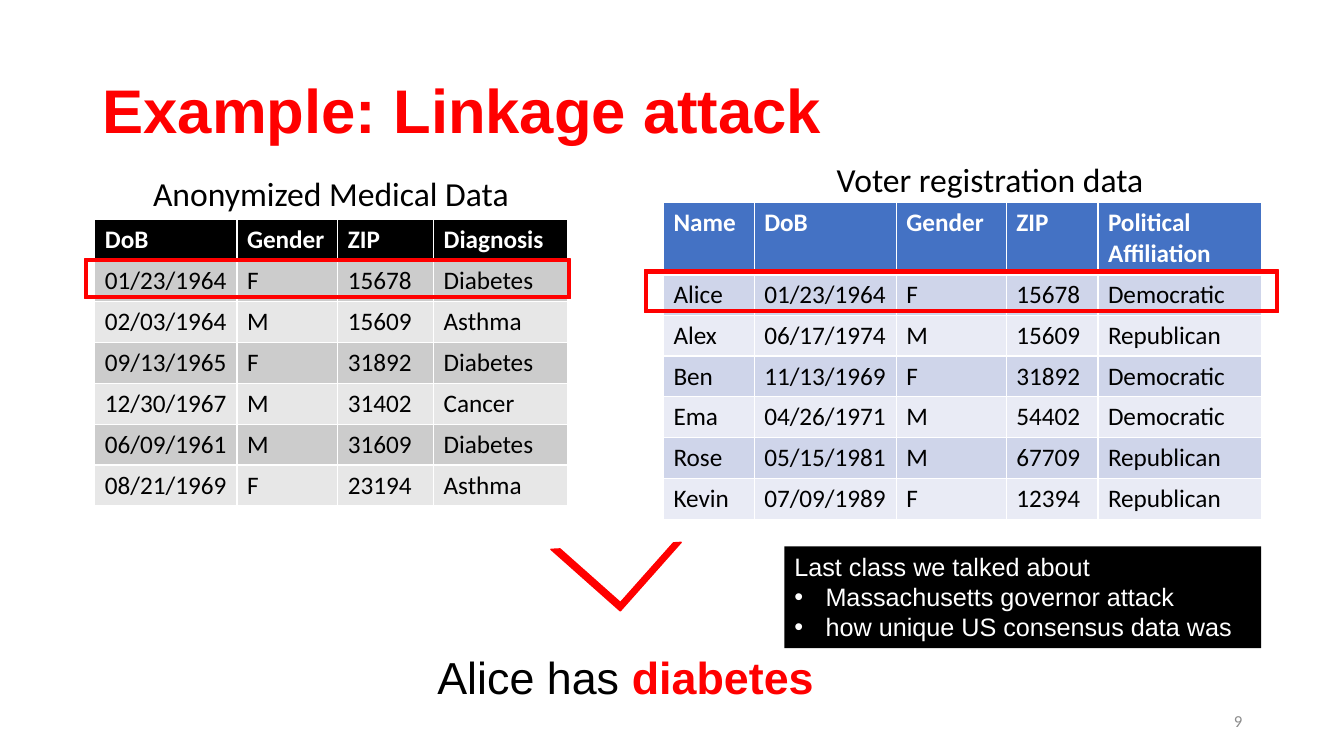
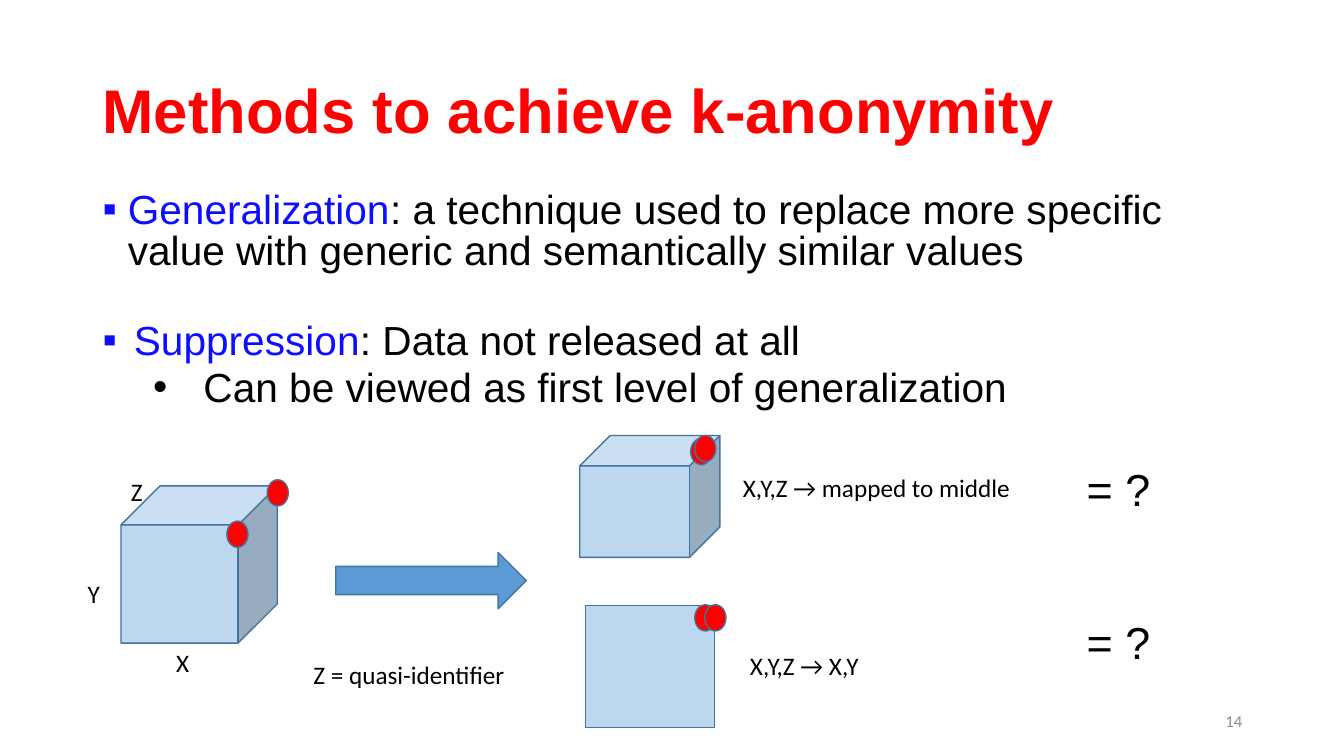
"""Builds two slides on linkage attacks and k-anonymity."""

from dataclasses import dataclass
from typing import Optional

from lxml.etree import SubElement
from pptx import Presentation
from pptx.dml.color import RGBColor
from pptx.enum.shapes import MSO_SHAPE
from pptx.enum.text import MSO_ANCHOR, MSO_AUTO_SIZE, PP_ALIGN
from pptx.oxml.ns import qn
from pptx.slide import Slide
from pptx.table import _Cell
from pptx.text.text import TextFrame, _Paragraph
from pptx.util import Inches, Pt

UNIT = Inches(0.1)
COLUMNS, ROWS = 133.3, 75

BLACK = RGBColor(0x00, 0x00, 0x00)
WHITE = RGBColor(0xFF, 0xFF, 0xFF)
RED = RGBColor(0xFF, 0x00, 0x00)
TERM_BLUE = RGBColor(0x0D, 0x0E, 0xFF)
NUMBER_GRAY = RGBColor(0x8C, 0x8C, 0x8C)
DARK_GRAY = RGBColor(0xCC, 0xCC, 0xCC)
LIGHT_GRAY = RGBColor(0xE7, 0xE7, 0xE7)
HEADER_BLUE = RGBColor(0x44, 0x72, 0xC4)
DARK_BAND = RGBColor(0xCF, 0xD5, 0xEA)
LIGHT_BAND = RGBColor(0xE9, 0xEB, 0xF5)
CUBE_BLUE = RGBColor(0xBD, 0xD7, 0xEE)
ARROW_BLUE = RGBColor(0x5B, 0x9B, 0xD5)
OUTLINE_BLUE = RGBColor(0x43, 0x73, 0x9E)

HEADING_FONT, LABEL_FONT = "Arial", "Calibri"


@dataclass(frozen=True)
class Area:
    """A rectangle in grid columns and rows."""

    left: float
    top: float
    width: float
    height: float

    def lengths(self) -> tuple[int, ...]:
        """Return the rectangle in slide lengths."""
        return tuple(grid(cells) for cells in (self.left, self.top, self.width, self.height))


@dataclass(frozen=True)
class Style:
    """The look of a piece of text."""

    size: float
    font: str = LABEL_FONT
    color: RGBColor = BLACK
    bold: bool = False


@dataclass(frozen=True)
class Line:
    """A paragraph made of styled pieces, with an optional bullet."""

    pieces: tuple[tuple[str, Style], ...]
    bullet: str = ""
    indent: float = 0
    hanging: float = 0
    spacing: float = 1
    before: float = 0
    align: PP_ALIGN = PP_ALIGN.LEFT


@dataclass(frozen=True)
class Figure:
    """A filled preset shape."""

    kind: MSO_SHAPE
    area: Area
    fill: RGBColor
    outline: Optional[RGBColor] = None
    adjustments: tuple[float, ...] = ()
    rotation: float = 0


@dataclass(frozen=True)
class DataTable:
    """A banded table whose first row is the header."""

    left: float
    top: float
    widths: tuple[float, ...]
    rows: tuple[str, ...]
    header_fill: RGBColor
    bands: tuple[RGBColor, RGBColor]


TITLE = Style(44, HEADING_FONT, RED, True)
NUMBER = Style(12, color=NUMBER_GRAY)
CAPTION = Style(24)
LABEL = Style(18)
TABLE_HEADER = Style(18, color=WHITE, bold=True)
NOTE = Style(18, HEADING_FONT, WHITE)
RESULT = Style(32, HEADING_FONT)
RESULT_STRONG = Style(32, HEADING_FONT, RED, True)
BODY = Style(29, HEADING_FONT)
TERM = Style(29, HEADING_FONT, TERM_BLUE)

MEDICAL = DataTable(
    9.4, 21.8, (14.1, 10, 9.5, 13.3),
    (
        "DoB|Gender|ZIP|Diagnosis",
        "01/23/1964|F|15678|Diabetes",
        "02/03/1964|M|15609|Asthma",
        "09/13/1965|F|31892|Diabetes",
        "12/30/1967|M|31402|Cancer",
        "06/09/1961|M|31609|Diabetes",
        "08/21/1969|F|23194|Asthma",
    ),
    BLACK, (DARK_GRAY, LIGHT_GRAY),
)
VOTERS = DataTable(
    65.8, 20.1, (9, 14.1, 10.9, 9.1, 16.2),
    (
        "Name|DoB|Gender|ZIP|Political\nAffiliation",
        "Alice|01/23/1964|F|15678|Democratic",
        "Alex|06/17/1974|M|15609|Republican",
        "Ben|11/13/1969|F|31892|Democratic",
        "Ema|04/26/1971|M|54402|Democratic",
        "Rose|05/15/1981|M|67709|Republican",
        "Kevin|07/09/1989|F|12394|Republican",
    ),
    HEADER_BLUE, (DARK_BAND, LIGHT_BAND),
)
ATTACK_MARKS = (
    Figure(MSO_SHAPE.FRAME, Area(8.4, 25.7, 48.2, 3.9), RED, RED, (0.07,)),
    Figure(MSO_SHAPE.FRAME, Area(63.9, 26.8, 62.9, 4.2), RED, RED, (0.07,)),
    Figure(MSO_SHAPE.HALF_FRAME, Area(56.5, 49.6, 9.2, 9.1), RED, RED, (0.07, 0.06), 221.6),
)
NOTE_BOX = Figure(MSO_SHAPE.RECTANGLE, Area(77.8, 54.2, 47.3, 10.1), BLACK)
NOTE_LINES = (
    Line((("Last class we talked about", NOTE),)),
    *(
        Line(((text, NOTE),), "•", 3.1, 3.1)
        for text in ("Massachusetts governor attack", "how unique US consensus data was")
    ),
)
METHOD_LINES = (
    Line(
        (
            ("Generalization", TERM),
            (": a technique used to replace more specific value with generic "
             "and semantically similar values", BODY),
        ),
        "▪", 2.5, 2.5, 0.84,
    ),
    Line((("Suppression", TERM), (": Data not released at all", BODY)), "▪", 3.1, 3.1, 0.84, 35.5),
    Line((("Can be viewed as first level of generalization", BODY),), "•", 10, 5, 0.84, 4),
)
METHOD_FIGURES = (
    Figure(MSO_SHAPE.CUBE, Area(12, 48.2, 15.5, 15.6), CUBE_BLUE, OUTLINE_BLUE),
    Figure(MSO_SHAPE.RIGHT_ARROW, Area(33.3, 54.8, 18.9, 5.6), ARROW_BLUE, OUTLINE_BLUE),
    Figure(MSO_SHAPE.RECTANGLE, Area(58.1, 60.1, 12.8, 12.1), CUBE_BLUE, OUTLINE_BLUE),
    Figure(MSO_SHAPE.CUBE, Area(57.5, 43.2, 13.9, 12.1), CUBE_BLUE, OUTLINE_BLUE),
)
DOTS = ((22.5, 51.7), (26.5, 47.6), (68.9, 60), (69.9, 60), (68.5, 43.5), (68.9, 43.2))
METHOD_LABELS = (
    ("Z", Area(12, 46.8, 3.2, 4), LABEL),
    ("X", Area(16.5, 63.7, 3.3, 4), LABEL),
    ("Y", Area(7.7, 56.9, 3.2, 4), LABEL),
    ("X,Y,Z → X,Y", Area(73.4, 64, 14, 4), LABEL),
    ("X,Y,Z → mapped to middle", Area(72.7, 46.4, 29.6, 4), LABEL),
    ("= ?", Area(106.8, 45.3, 8.4, 6.4), RESULT),
    ("= ?", Area(106.8, 60.5, 8.4, 6.4), RESULT),
    ("Z = quasi-identifier", Area(30.1, 64.9, 21.2, 4), LABEL),
)


def grid(cells: float) -> int:
    """Turn a count of grid cells into a slide length."""
    return round(cells * UNIT)


def style_paragraph(paragraph: _Paragraph, style: Style) -> None:
    """Apply one style to every run of a paragraph."""
    for run in paragraph.runs:
        style_font(run.font, style)


def style_font(font, style: Style) -> None:
    """Apply a style to a font."""
    font.size, font.name, font.bold = Pt(style.size), style.font, style.bold
    font.color.rgb = style.color


def write_lines(text_frame: TextFrame, lines: tuple[Line, ...]) -> None:
    """Write styled paragraphs into a text frame."""
    text_frame.text = "\n".join("" for _ in lines)
    for paragraph, line in zip(text_frame.paragraphs, lines):
        paragraph.alignment = line.align
        paragraph.line_spacing = line.spacing
        paragraph.space_before = Pt(line.before)
        for text, style in line.pieces:
            run = paragraph.add_run()
            run.text = text
            style_font(run.font, style)
        if line.bullet:
            properties = paragraph._p.get_or_add_pPr()
            properties.set("marL", str(grid(line.indent)))
            properties.set("indent", str(grid(-line.hanging)))
            SubElement(properties, qn("a:buFont"), typeface=HEADING_FONT)
            SubElement(properties, qn("a:buChar"), char=line.bullet)


def add_text(slide: Slide, area: Area, *lines: Line, wrap: bool = False,
             anchor: MSO_ANCHOR = MSO_ANCHOR.TOP) -> None:
    """Add a text box; boxes that do not wrap fit their text."""
    text_frame = slide.shapes.add_textbox(*area.lengths()).text_frame
    text_frame.word_wrap = wrap
    text_frame.auto_size = MSO_AUTO_SIZE.NONE if wrap else MSO_AUTO_SIZE.SHAPE_TO_FIT_TEXT
    text_frame.vertical_anchor = anchor
    write_lines(text_frame, lines)


def add_figure(slide: Slide, figure: Figure, lines: tuple[Line, ...] = ()) -> None:
    """Add a preset shape with optional text."""
    shape = slide.shapes.add_shape(figure.kind, *figure.area.lengths())
    shape.shadow.inherit = False
    shape.rotation = figure.rotation
    for index, value in enumerate(figure.adjustments):
        shape.adjustments[index] = value
    shape.fill.solid()
    shape.fill.fore_color.rgb = figure.fill
    if figure.outline is None:
        shape.line.fill.background()
    else:
        shape.line.color.rgb = figure.outline
        shape.line.width = Pt(1)
    if lines:
        shape.text_frame.vertical_anchor = MSO_ANCHOR.TOP
        write_lines(shape.text_frame, lines)


def add_borders(cell: _Cell, bottom: float, top: float) -> None:
    """Give a cell white borders."""
    properties = cell._tc.get_or_add_tcPr()
    for side, width in (("L", 1), ("R", 1), ("T", top), ("B", bottom)):
        border = SubElement(properties, qn(f"a:ln{side}"), w=str(Pt(width)))
        SubElement(SubElement(border, qn("a:solidFill")), qn("a:srgbClr"), val=str(WHITE))


def add_data_table(slide: Slide, data: DataTable) -> None:
    """Add a table with a header and alternating row fills."""
    area = Area(data.left, data.top, sum(data.widths), 3.7 * len(data.rows))
    table = slide.shapes.add_table(len(data.rows), len(data.widths), *area.lengths()).table
    for column, width in zip(table.columns, data.widths):
        column.width = grid(width)
    for row_index, (row, texts) in enumerate(zip(table.rows, data.rows)):
        header = row_index == 0
        for cell, text in zip(row.cells, texts.split("|")):
            add_borders(cell, 3 if header else 1, 3 if row_index == 1 else 1)
            cell.fill.solid()
            cell.fill.fore_color.rgb = data.header_fill if header else data.bands[(row_index - 1) % 2]
            cell.text_frame.text = text
            for paragraph in cell.text_frame.paragraphs:
                style_paragraph(paragraph, TABLE_HEADER if header else LABEL)


def add_titled_slide(presentation: Presentation, title: str, number: int) -> Slide:
    """Add a blank slide with the shared title and page number."""
    slide = presentation.slides.add_slide(presentation.slide_layouts[6])
    add_text(slide, Area(9.2, 4, 115, 14.5), Line(((title, TITLE),), spacing=0.9),
             wrap=True, anchor=MSO_ANCHOR.MIDDLE)
    add_text(slide, Area(94.2, 69.5, 30, 4), Line(((str(number), NUMBER),), align=PP_ALIGN.RIGHT),
             wrap=True, anchor=MSO_ANCHOR.MIDDLE)
    return slide


def build_attack(presentation: Presentation) -> None:
    """Build the linkage attack slide."""
    slide = add_titled_slide(presentation, "Example: Linkage attack", 9)
    add_data_table(slide, MEDICAL)
    add_data_table(slide, VOTERS)
    add_text(slide, Area(14.2, 16.7, 37.3, 5), Line((("Anonymized Medical Data", CAPTION),)))
    add_text(slide, Area(82, 15.3, 32.8, 5), Line((("Voter registration data", CAPTION),)))
    for mark in ATTACK_MARKS:
        add_figure(slide, mark)
    add_text(slide, Area(42.4, 64, 39.6, 6.4),
             Line((("Alice has ", RESULT), ("diabetes", RESULT_STRONG))))
    add_figure(slide, NOTE_BOX, NOTE_LINES)


def build_methods(presentation: Presentation) -> None:
    """Build the k-anonymity methods slide."""
    slide = add_titled_slide(presentation, "Methods to achieve k-anonymity", 14)
    add_text(slide, Area(9.2, 18.5, 115, 22.9), *METHOD_LINES, wrap=True)
    for figure in METHOD_FIGURES:
        add_figure(slide, figure)
    for left, top in DOTS:
        add_figure(slide, Figure(MSO_SHAPE.OVAL, Area(left, top, 2.1, 2.6), RED, OUTLINE_BLUE))
    for text, area, style in METHOD_LABELS:
        add_text(slide, area, Line(((text, style),)))


def main() -> None:
    """Build and save the presentation."""
    presentation = Presentation()
    presentation.slide_width, presentation.slide_height = grid(COLUMNS), grid(ROWS)
    build_attack(presentation)
    build_methods(presentation)
    presentation.save("out.pptx")


if __name__ == "__main__":
    main()
